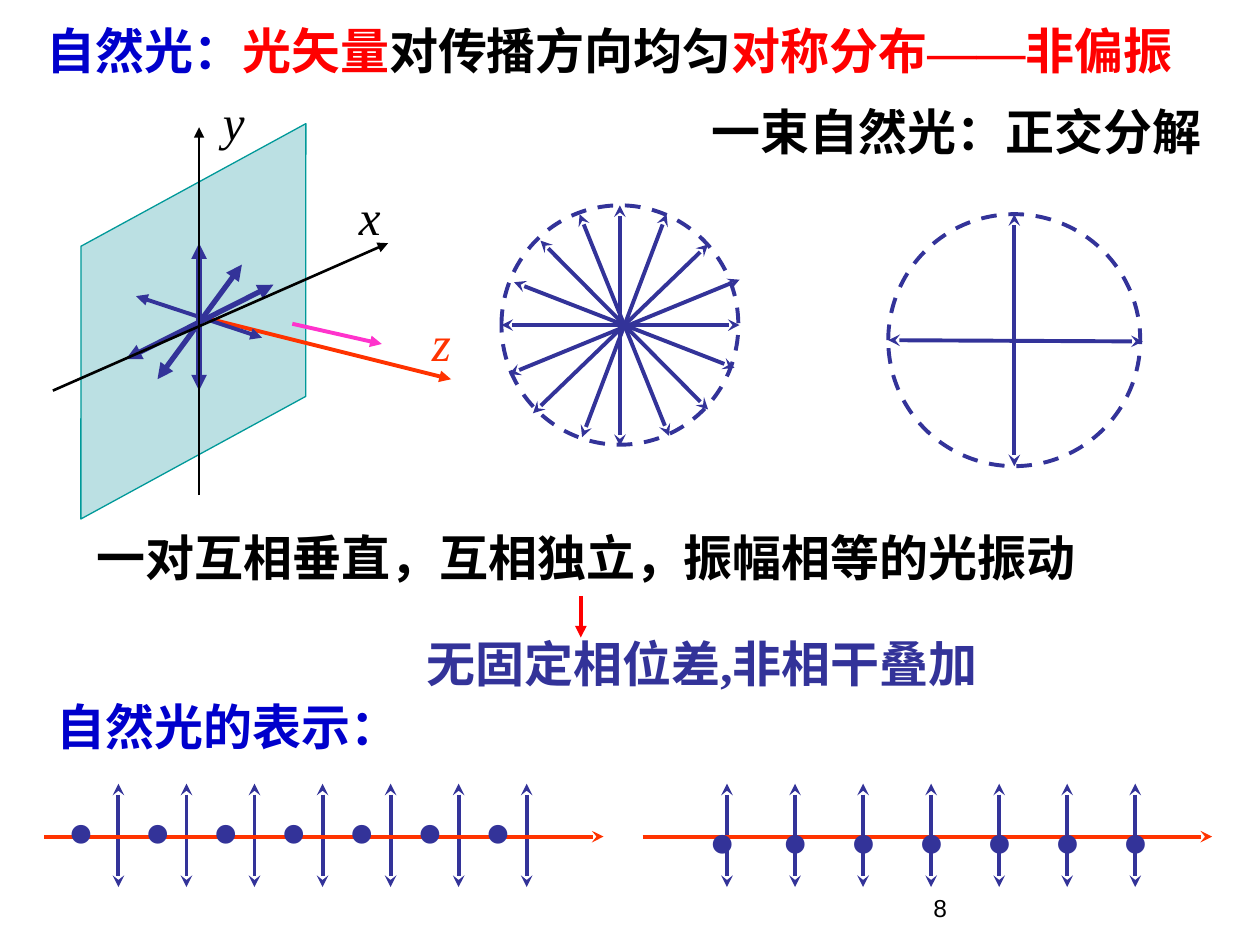
import pptx
import pptx.util
import pptx.dml.color
import pptx.enum.dml
import pptx.enum.shapes
import pptx.enum.text
import pptx.oxml
import pptx.oxml.ns

Inches = pptx.util.Inches
SHAPE = pptx.enum.shapes.MSO_SHAPE
SERIF, SANS, ARIAL = "Times New Roman", "Noto Sans CJK SC", "Arial"
COLORS = {
    "navy": "333399", "blue": "0000CC", "red": "FF0000", "ray": "FF3300",
    "pink": "FF33CC", "black": "000000", "pane": "BBE0E3", "edge": "009999",
}
# Double-headed strokes: start x, start y, end x, end y, width
WAVES = [
    (0.6, 2.17, 1.77, 1.58, 3), (1.18, 2.42, 1.18, 1.25, 3),
    (0.68, 1.67, 1.68, 2, 2.25), (1.52, 1.42, 0.85, 2.33, 3),
]
# Spokes within each circle's box
STAR = [
    (0, 0.95, 1.89, 0.95), (0.94, 0, 0.94, 1.91), (1.64, 0.31, 0.25, 1.65),
    (0.31, 0.28, 1.64, 1.62), (0.62, 0.07, 1.33, 1.83), (1.31, 0.07, 0.64, 1.84),
    (1.85, 1.29, 0.1, 0.61), (0.06, 1.34, 1.89, 0.59),
]
CROSS = [(0, 1, 2.02, 1.01), (1, 0, 1, 2)]
STEP = 0.54


def rgb(name):
    return pptx.dml.color.RGBColor.from_string(COLORS[name])


def add_xml(node, tag, **attrs):
    kid = pptx.oxml.parse_xml(f"<a:{tag} {pptx.oxml.ns.nsdecls('a')}/>")
    for key, value in attrs.items():
        kid.set(key, value)
    node.append(kid)


def add_line(slide, start, end, color, width=2.25, head=None, tail=None):
    kind = pptx.enum.shapes.MSO_CONNECTOR.STRAIGHT
    line = slide.shapes.add_connector(kind, *map(Inches, (*start, *end)))
    line.line.color.rgb = rgb(color)
    line.line.width = pptx.util.Pt(width)
    stroke = line.line._get_or_add_ln()
    for tag, tip in (("headEnd", head), ("tailEnd", tail)):
        if tip:
            add_xml(stroke, tag, type=tip)
    add_xml(line._element.spPr, "effectLst")


def add_shape(slide, kind, box, color, width):
    shape = slide.shapes.add_shape(kind, *map(Inches, box))
    shape.shadow.inherit = False
    shape.line.color.rgb = rgb(color)
    shape.line.width = pptx.util.Pt(width)
    return shape


def fill_text(shape, runs, size, bold=False, italic=False, wrap=True):
    frame = shape.text_frame
    frame.word_wrap = wrap
    frame.auto_size = pptx.enum.text.MSO_AUTO_SIZE.NONE
    frame.vertical_anchor = pptx.enum.text.MSO_ANCHOR.TOP
    para = frame.paragraphs[0]
    para.alignment = pptx.enum.text.PP_ALIGN.LEFT
    for text, color, face in runs:
        run = para.add_run()
        run.text = text
        font = run.font
        font.name, font.size = face, pptx.util.Pt(size)
        font.bold, font.italic = bold, italic
        font.color.rgb = rgb(color)
        asian = SERIF if text == "——" else SANS
        add_xml(run._r.get_or_add_rPr(), "ea", typeface=asian)


def add_text(slide, box, runs, size=28, **style):
    fill_text(slide.shapes.add_textbox(*map(Inches, box)), runs, size, **style)


def set_title(slide, box):
    title = slide.shapes.title
    title.left, title.top, title.width, title.height = map(Inches, box)
    fill_text(title, [
        ("自然光：", "blue", SANS), ("光矢量", "red", SANS),
        ("对传播方向均匀", "black", SANS), ("对称分布", "red", SANS),
        ("——", "red", SERIF), ("非偏振", "red", SANS),
    ], 28, bold=True)


def draw_plane(slide, x, y):
    def at(dx, dy):
        return x + dx, y + dy

    pane = add_shape(slide, SHAPE.PARALLELOGRAM, (*at(-0.4, 0.92), 3.07, 1.9), "edge", 0.75)
    pane.adjustments[0] = 0.546
    pane.rotation = 331.4
    pane.fill.solid()
    pane.fill.fore_color.rgb = rgb("pane")
    # Ray and light vectors
    add_line(slide, at(1.18, 1.83), at(3.18, 2.33), "ray", tail="triangle")
    for x1, y1, x2, y2, width in WAVES:
        add_line(slide, at(x1, y1), at(x2, y2), "navy", width, "triangle", "triangle")
    # Axes and their names
    add_line(slide, at(0.02, 2.42), at(2.68, 1.25), "black", 1.5, tail="triangle")
    add_line(slide, at(1.18, 3.25), at(1.18, 0.33), "black", 1.5, tail="triangle")
    for name, dx, dy, wide, color in (
            ("z", 2.93, 1.75, 0.5, "ray"), ("x", 2.35, 0.75, 0.33, "black"),
            ("y", 1.27, 0, 0.33, "black")):
        add_text(slide, (*at(dx, dy), wide, 0.57), [(name, color, SERIF)], italic=True)
    add_line(slide, at(1.92, 1.89), at(2.63, 2.05), "pink", tail="triangle")


def draw_circle(slide, box, spokes):
    x, y = box[:2]
    ring = add_shape(slide, SHAPE.OVAL, box, "navy", 2.25)
    ring.fill.background()
    ring.line.dash_style = pptx.enum.dml.MSO_LINE.DASH
    for x1, y1, x2, y2 in spokes:
        add_line(slide, (x + x1, y + y1), (x + x2, y + y2), "navy",
                 head="stealth", tail="stealth")


def draw_beam(slide, box, bar, dots, dot_top):
    """Draw a ray with seven bars and dots; dots holds the first two offsets."""
    x, y, wide, high = box
    mid = y + high / 2 + 0.01
    for i in range(7):
        left = x + bar + i * STEP
        add_line(slide, (left, y), (left, y + high), "navy", head="stealth", tail="stealth")
    add_line(slide, (x, mid), (x + wide, mid), "ray", tail="stealth")
    first, second = dots
    for left in [first] + [second + i * STEP for i in range(6)]:
        add_text(slide, (x + left, y + dot_top, 0.43, 1.2), [(".", "navy", SERIF)],
                 66, bold=True, wrap=False)


def draw_notes(slide, x, y):
    add_text(slide, (x, y, 9, 0.57),
             [("一对互相垂直，互相独立，振幅相等的光振动", "black", SERIF)], bold=True)
    add_text(slide, (x + 2.62, y + 0.84, 5.46, 0.57),
             [("无固定相位差,非相干", "navy", SERIF), ("叠加", "navy", ARIAL)], bold=True)
    add_line(slide, (x + 3.94, y + 0.59), (x + 3.94, y + 0.92), "red", tail="triangle")


def main():
    deck = pptx.Presentation()
    deck.slide_width, deck.slide_height = Inches(10), Inches(7.5)
    slide = deck.slides.add_slide(deck.slide_layouts[5])
    set_title(slide, (0.27, 0.11, 9.53, 0.57))
    # Natural light and its split into two directions
    draw_plane(slide, 0.4, 0.68)
    draw_circle(slide, (3.98, 1.63, 1.88, 1.9), STAR)
    draw_circle(slide, (7.05, 1.7, 2, 2), CROSS)
    add_text(slide, (5.55, 0.76, 4.24, 0.57),
             [("一束自然光：正交分解", "black", SERIF)], bold=True)
    draw_notes(slide, 0.67, 4.14)
    # Symbols for natural light
    add_text(slide, (0.35, 5.48, 2.76, 0.57),
             [("自然光的表示：", "blue", SANS)], bold=True)
    draw_beam(slide, (0.35, 6.22, 4.44, 0.82), 0.59, (0.08, 0.69), -0.5)
    draw_beam(slide, (5.1, 6.22, 4.52, 0.82), 0.67, (0.42, 1), -0.42)
    # Page number
    add_text(slide, (7.31, 7.04, 2.33, 0.45), [("8", "black", ARIAL)], 14)
    deck.save("out.pptx")


if __name__ == "__main__":
    main()
